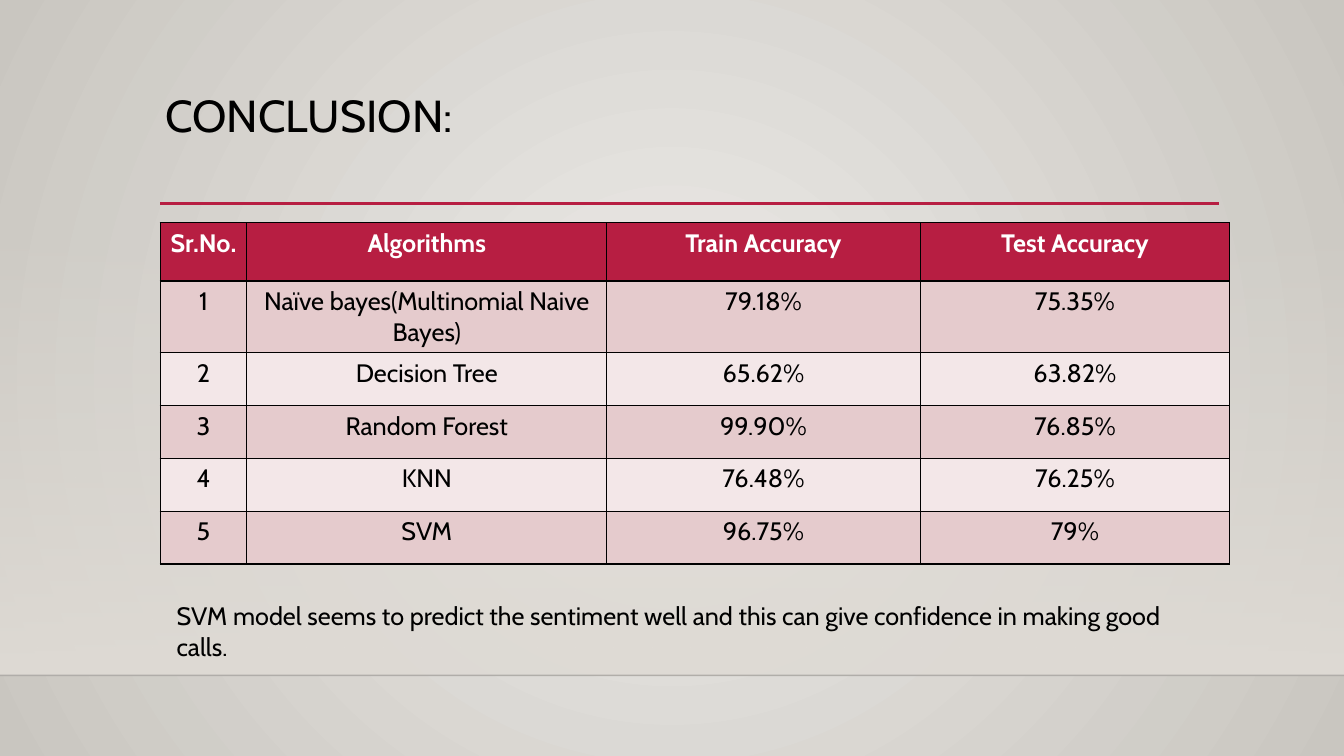
"""Build the conclusion slide comparing the accuracy of five classifiers."""
from lxml.etree import SubElement
from pptx import Presentation
from pptx.dml.color import RGBColor
from pptx.enum.shapes import MSO_CONNECTOR as Connector, MSO_SHAPE as Shape
from pptx.enum.text import MSO_ANCHOR as Anchor, MSO_AUTO_SIZE as AutoSize, PP_ALIGN as Align
from pptx.oxml import parse_xml
from pptx.oxml.ns import nsdecls, qn
from pptx.util import Cm, Pt

HEADING = "CONCLUSION:"
RESULTS = [
    ("Sr.No.", "Algorithms", "Train Accuracy", "Test Accuracy"),
    ("1", "Naïve bayes(Multinomial Naive Bayes)", "79.18%", "75.35%"),
    ("2", "Decision Tree", "65.62%", "63.82%"),
    ("3", "Random Forest", "99.90%", "76.85%"),
    ("4", "KNN", "76.48%", "76.25%"),
    ("5", "SVM", "96.75%", "79%"),
]
VERDICT = ("SVM model seems to predict the sentiment well and "
           "this can give confidence in making good calls.")

BLACK = RGBColor(0x00, 0x00, 0x00)
FLOOR_EDGE = RGBColor(0x00, 0x00, 0x01)
WHITE = RGBColor(0xFF, 0xFF, 0xFF)
CRIMSON = RGBColor(0xB7, 0x1E, 0x42)
ROSE = RGBColor(0xE5, 0xCB, 0xCD)
BLUSH = RGBColor(0xF3, 0xE7, 0xE8)
GLOW = RGBColor(0xEC, 0xEA, 0xE7)
STONE = RGBColor(0xC9, 0xC6, 0xC0)
SAND = RGBColor(0xDF, 0xDB, 0xD5)

WIDTH, HEIGHT = Cm(33.87), Cm(19.05)
LEFT = Cm(4.04)
TABLE_TOP, FLOOR_TOP = Cm(5.61), Cm(17.02)
COLUMN_WIDTHS = [Cm(2.18), Cm(9.07), Cm(7.9), Cm(7.8)]
ROW_HEIGHTS = [Cm(1.47)] * 2 + [Cm(1.33)] * 4
INSET = Cm(0.13)
INSETS = {f"margin_{side}": INSET for side in ("left", "top", "right", "bottom")}
TOP_ANCHORED = {**INSETS, "vertical_anchor": Anchor.TOP}
FRAME = {**TOP_ANCHORED, "word_wrap": True}


def apply(target, formats):
    for attribute, value in formats.items():
        setattr(target, attribute, value)


def write(frame, text, size, color, align=Align.LEFT, bold=False, spacing=1.0):
    paragraph = frame.paragraphs[0]
    apply(paragraph, {"alignment": align, "line_spacing": spacing})
    run = paragraph.add_run()
    run.text = text
    apply(run.font, {"name": "Cabin", "size": Pt(size), "bold": bold})
    run.font.color.rgb = color


def set_gradient(fill, *colors):
    fill.gradient()
    for stop, color in zip(fill.gradient_stops, colors):
        stop.color.rgb = color
        stop.position = colors.index(color) if colors[0] != colors[-1] else stop.position


def set_alpha(color_element, percent):
    SubElement(color_element, qn("a:alpha")).set("val", str(percent * 1000))


def add_line(slide, left, right, y, color, points):
    line = slide.shapes.add_connector(Connector.STRAIGHT, left, y, right, y)
    line.line.color.rgb = color
    line.line.width = Pt(points)
    SubElement(line._element.spPr, qn("a:effectLst"))
    return line


def add_backdrop(slide):
    set_gradient(slide.background.fill, GLOW, STONE)
    gradient = slide.element.xpath(".//p:bg//a:gradFill")[0]
    gradient.replace(gradient.find(qn("a:lin")), parse_xml(
        f'<a:path {nsdecls("a")} path="circle">'
        '<a:fillToRect l="50000" t="50000" r="50000" b="50000"/></a:path>'))

    wall = slide.shapes.add_shape(Shape.RECTANGLE, 0, TABLE_TOP, WIDTH, FLOOR_TOP - TABLE_TOP)
    wall.shadow.inherit = False
    wall.line.fill.background()
    set_gradient(wall.fill, SAND, SAND)
    wall.fill.gradient_angle = 270
    set_alpha(wall._element.xpath(".//a:gs/a:srgbClr")[0], 0)

    floor_edge = add_line(slide, 0, WIDTH, FLOOR_TOP, FLOOR_EDGE, 1)
    set_alpha(floor_edge._element.xpath(".//a:ln//a:srgbClr")[0], 20)
    add_line(slide, LEFT, Cm(30.73), Cm(5.13), CRIMSON, 2.5)


def add_borders(cell):
    properties = cell._tc.get_or_add_tcPr()
    for position, side in enumerate("LRTB"):
        properties.insert(position, parse_xml(
            f'<a:ln{side} {nsdecls("a")} w="{Pt(1)}"><a:solidFill>'
            f'<a:srgbClr val="{BLACK}"/></a:solidFill></a:ln{side}>'))


def add_results(slide):
    table = slide.shapes.add_table(len(RESULTS), len(COLUMN_WIDTHS), LEFT, TABLE_TOP,
                                   sum(COLUMN_WIDTHS), sum(ROW_HEIGHTS)).table
    for column, width in zip(table.columns, COLUMN_WIDTHS):
        column.width = width
    for index, (row, height, values) in enumerate(zip(table.rows, ROW_HEIGHTS, RESULTS)):
        row.height = height
        header = index == 0
        shade = CRIMSON if header else (BLUSH, ROSE)[index % 2]
        for cell, value in zip(row.cells, values):
            apply(cell, TOP_ANCHORED)
            cell.fill.solid()
            cell.fill.fore_color.rgb = shade
            add_borders(cell)
            write(cell.text_frame, value, 18, WHITE if header else BLACK, Align.CENTER, header)


def main():
    deck = Presentation()
    apply(deck, {"slide_width": WIDTH, "slide_height": HEIGHT})
    slide = deck.slides.add_slide(deck.slide_layouts[5])
    add_backdrop(slide)

    heading = slide.shapes.title
    apply(heading, {"left": LEFT, "top": Cm(2.24), "width": Cm(26.67), "height": Cm(2.21)})
    apply(heading.text_frame, {**FRAME, "auto_size": AutoSize.NONE})
    write(heading.text_frame, HEADING, 32, BLACK, spacing=0.9)

    add_results(slide)

    verdict = slide.shapes.add_textbox(Cm(4.32), Cm(15.01), Cm(25.53), Cm(1.8))
    apply(verdict.text_frame, {**FRAME, "auto_size": AutoSize.SHAPE_TO_FIT_TEXT})
    write(verdict.text_frame, VERDICT, 18, BLACK)
    deck.save("out.pptx")


if __name__ == "__main__":
    main()
